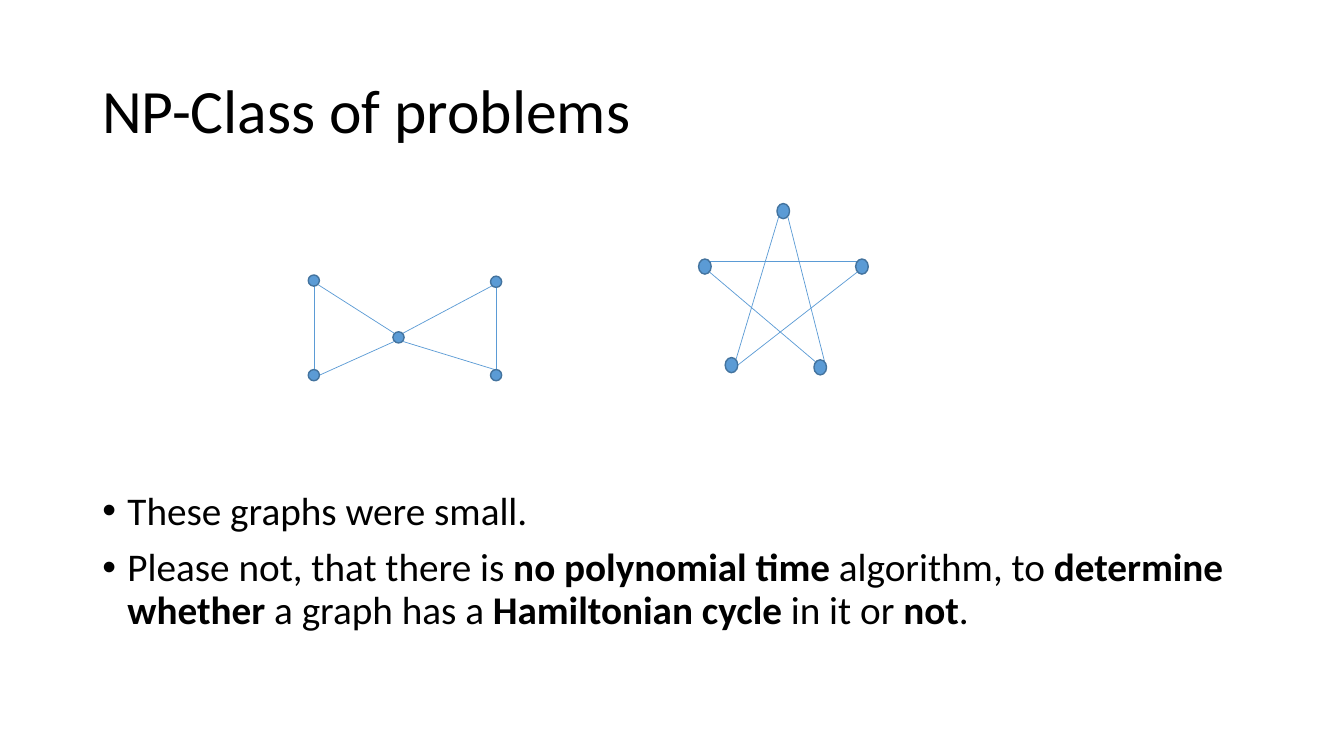
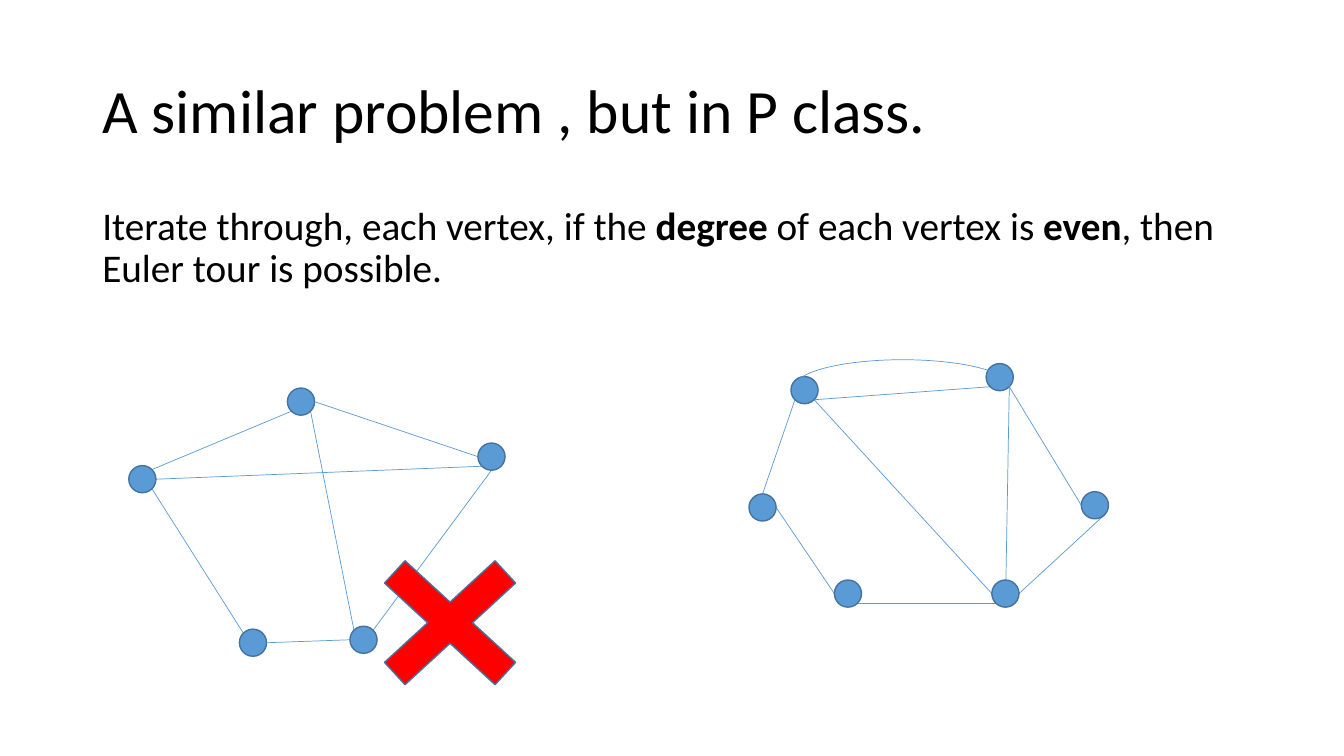
import math

import pptx
import pptx.dml.color
import pptx.enum.shapes
import pptx.enum.text
import pptx.oxml.ns
import pptx.util
from lxml import etree

Pt = pptx.util.Pt
RGBColor = pptx.dml.color.RGBColor
Preset = pptx.enum.shapes.MSO_SHAPE
qn = pptx.oxml.ns.qn

BLACK = RGBColor(0x00, 0x00, 0x00)
BLUE = RGBColor(0x5B, 0x9B, 0xD5)
DARK_BLUE = RGBColor(0x43, 0x73, 0x9E)
RED = RGBColor(0xFF, 0x00, 0x00)

FONT = "Calibri"
MARGIN = 66
TEXT_WIDTH = 828
BULLET_INDENT = 18
EDGE_WIDTH = 0.5

# Compass points on a vertex outline, as (x, y) from its centre
DIAGONAL = math.sqrt(0.5)
COMPASS = {
    "N": (0, -1), "S": (0, 1), "E": (1, 0), "W": (-1, 0),
    "NE": (DIAGONAL, -DIAGONAL), "NW": (-DIAGONAL, -DIAGONAL),
    "SE": (DIAGONAL, DIAGONAL), "SW": (-DIAGONAL, DIAGONAL),
}

# Graphs: vertex size, left and top of each vertex, and edges
# that join "vertex.compass point" pairs
BOW_TIE = {
    "size": (8, 8),
    "vertices": {
        "a": (220.2, 196.4), "b": (350.4, 197.3), "c": (280.7, 237),
        "d": (220.2, 264), "e": (350.4, 264),
    },
    "edges": "a.SE-c.NW d.E-c.SW c.NE-b.SW e.NE-c.SE a.S-d.N b.S-e.N",
}
STAR = {
    "size": (9, 10.8),
    "vertices": {
        "a": (555, 145.4), "b": (611.2, 185), "c": (581.4, 257),
        "d": (518, 255.4), "e": (499, 185),
    },
    "edges": "e.NE-b.NW d.E-b.SW d.NE-a.SW c.NE-a.SE c.NW-e.SE",
}
ODD_GRAPH = {
    "size": (19.4, 19.4),
    "vertices": {
        "a": (92, 332.6), "b": (205.3, 277.2), "c": (341.4, 316.5),
        "d": (250, 447.3), "e": (171, 449.4),
    },
    "edges": "a.NE-b.SW b.E-c.W c.S-d.NE e.E-d.W a.SE-e.NW b.SE-d.NW a.E-c.SW",
}
EVEN_GRAPH = {
    "size": (19.4, 19.4),
    "vertices": {
        "a": (565, 269), "b": (535, 352.8), "c": (596, 414.3),
        "d": (708.5, 414.3), "e": (772.4, 351.2), "f": (704.4, 259.7),
    },
    "edges": "a.SE-f.SW b.E-c.W f.SE-e.W d.E-e.SE b.N-a.SW d.SW-c.SE "
             "d.W-a.SE d.S-f.SE",
}


def add_bullet(paragraph):
    properties = paragraph._p.get_or_add_pPr()
    properties.set("marL", str(Pt(BULLET_INDENT)))
    properties.set("indent", str(-Pt(BULLET_INDENT)))
    etree.SubElement(properties, qn("a:buFont"), typeface="Arial")
    etree.SubElement(properties, qn("a:buChar"), char="•")


def add_text(slide, top, height, texts, size, bullets=False,
             anchor=pptx.enum.text.MSO_ANCHOR.TOP):
    """Add one paragraph per text; parts between asterisks are bold."""
    box = slide.shapes.add_textbox(Pt(MARGIN), Pt(top), Pt(TEXT_WIDTH), Pt(height))
    frame = box.text_frame
    frame.word_wrap = True
    frame.vertical_anchor = anchor
    for index, text in enumerate(texts):
        paragraph = frame.add_paragraph() if index else frame.paragraphs[0]
        paragraph.line_spacing = 0.9
        if index:
            paragraph.space_before = Pt(10)
        if bullets:
            add_bullet(paragraph)
        paragraph.font.name = FONT
        paragraph.font.size = Pt(size)
        paragraph.font.color.rgb = BLACK
        for part_index, part in enumerate(text.split("*")):
            run = paragraph.add_run()
            run.text = part
            if part_index % 2:
                run.font.bold = True


def add_title(slide, title):
    add_text(slide, 28.75, 104.4, [title], 44,
             anchor=pptx.enum.text.MSO_ANCHOR.MIDDLE)


def add_filled_shape(shapes, preset, left, top, width, height, fill):
    shape = shapes.add_shape(preset, Pt(left), Pt(top), Pt(width), Pt(height))
    shape.shadow.inherit = False
    shape.fill.solid()
    shape.fill.fore_color.rgb = fill
    shape.line.color.rgb = DARK_BLUE
    shape.line.width = Pt(1)
    return shape


def add_edge(shapes, start, end):
    edge = shapes.add_connector(
        pptx.enum.shapes.MSO_CONNECTOR.STRAIGHT,
        *(Pt(value) for value in (*start, *end)))
    edge.line.color.rgb = BLUE
    edge.line.width = Pt(EDGE_WIDTH)
    etree.SubElement(edge._element.spPr, qn("a:effectLst"))


def add_graph(slide, graph):
    shapes = slide.shapes.add_group_shape().shapes
    width, height = graph["size"]

    def outline_point(reference):
        vertex, direction = reference.split(".")
        left, top = graph["vertices"][vertex]
        x, y = COMPASS[direction]
        return left + width / 2 * (1 + x), top + height / 2 * (1 + y)

    for edge in graph["edges"].split():
        start, end = edge.split("-")
        add_edge(shapes, outline_point(start), outline_point(end))
    for left, top in graph["vertices"].values():
        add_filled_shape(shapes, Preset.OVAL, left, top, width, height, BLUE)


def add_arc(slide, left, top, width, height, start_angle):
    arc = slide.shapes.add_shape(Preset.ARC, Pt(left), Pt(top), Pt(width), Pt(height))
    arc.shadow.inherit = False
    arc.fill.background()
    arc.line.color.rgb = BLUE
    arc.line.width = Pt(EDGE_WIDTH)
    # Angles are stored in 60000ths of a degree, adjustments in 100000ths
    arc.adjustments[0] = start_angle * 0.6
    arc.adjustments[1] = 0


def build_hamiltonian_slide(slide):
    add_title(slide, "NP-Class of problems")
    add_text(slide, 347.5, 139, [
        "These graphs were small.",
        "Please not, that there is *no polynomial time *algorithm, to "
        "*determine whether* a graph has a *Hamiltonian cycle* in it or *not*.",
    ], 28, bullets=True)
    add_graph(slide, BOW_TIE)
    add_graph(slide, STAR)


def build_euler_slide(slide):
    add_title(slide, "A similar problem , but in P class.")
    add_text(slide, 143.75, 90, [
        "Iterate through, each vertex, if the *degree* of each vertex is "
        "*even*, then Euler tour is possible.",
    ], 28)
    add_graph(slide, ODD_GRAPH)
    add_graph(slide, EVEN_GRAPH)
    # Second edge between the two upper vertices
    add_arc(slide, 568, 257, 153.4, 38.2, 182.48)
    # Cross over the graph without a tour
    cross = add_filled_shape(slide.shapes, Preset.MATH_MULTIPLY,
                             245.5, 375, 152, 139.7, RED)
    cross.adjustments[0] = 0.155


def main():
    presentation = pptx.Presentation()
    presentation.slide_width = Pt(960)
    presentation.slide_height = Pt(540)
    blank_layout = presentation.slide_layouts[6]
    for build in (build_hamiltonian_slide, build_euler_slide):
        build(presentation.slides.add_slide(blank_layout))
    presentation.save("out.pptx")


if __name__ == "__main__":
    main()
